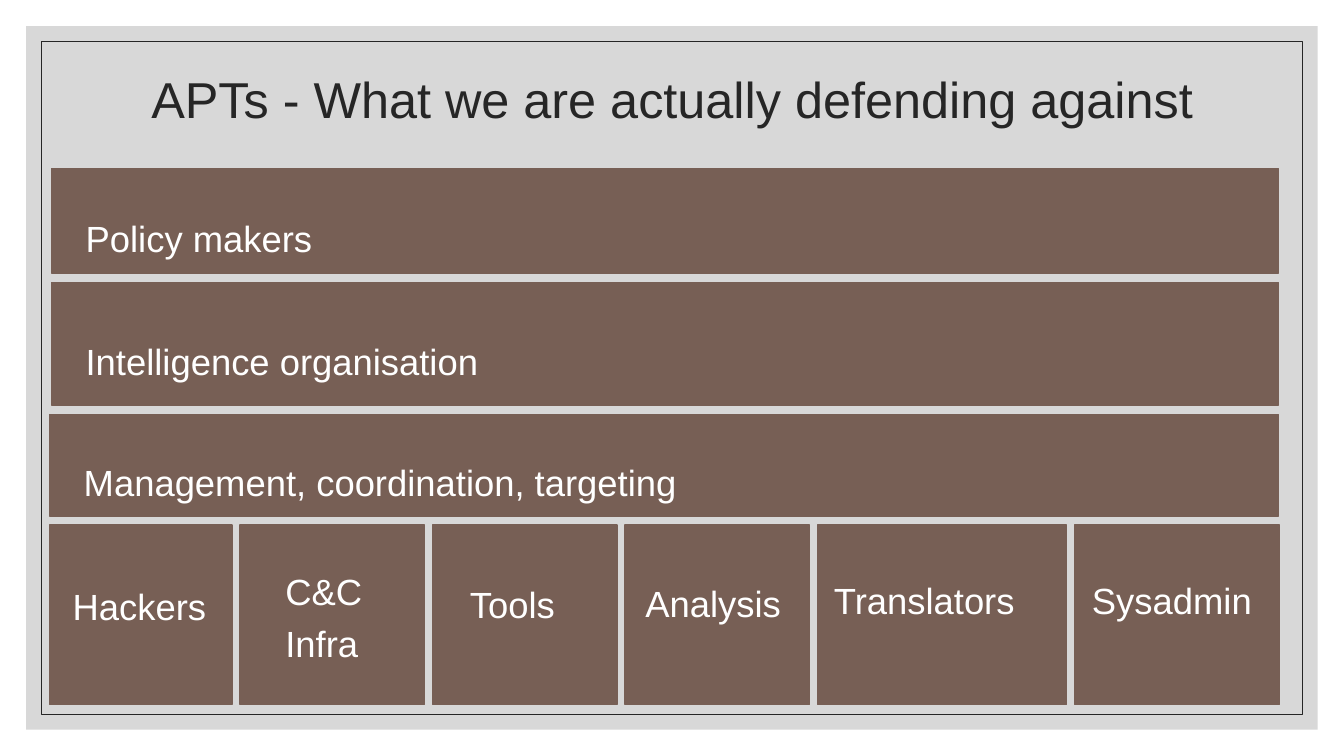
from lxml.etree import SubElement
from pptx import Presentation
from pptx.dml.color import RGBColor
from pptx.enum.shapes import MSO_SHAPE
from pptx.enum.text import MSO_ANCHOR, PP_ALIGN
from pptx.oxml.ns import qn
from pptx.util import Inches, Pt

TITLE = "APTs - What we are actually defending against"
# label, left, height
LAYERS = [
    ("Policy makers", 0.51, 1.04),
    ("Intelligence organisation", 0.51, 1.22),
    ("Management, coordination, targeting", 0.49, 1.01),
]
# lines, column width, text offset x and y, text width and height
TEAMS = [
    (["Hackers"], 1.81, -0.11, 0.63, 3.48, 0.63),
    (["C&C", "Infra"], 1.83, 0.11, 0.49, 2.71, 0.63),
    (["Tools"], 1.83, 0.03, 0.61, 1.89, 1.04),
    (["Analysis"], 1.83, -0.14, 0.6, 2.59, 0.85),
    (["Translators"], 2.47, -0.18, 0.57, 2.71, 0.74),
    (["Sysadmin"], 2.03, -0.17, 0.57, 2.49, 1.5),
]
WIDTH, HEIGHT = 13.33, 7.5
TOP, LEFT, RIGHT = 1.67, 0.49, 12.68
ROW_GAP, COL_GAP, TEAM_HEIGHT = 0.09, 0.08, 1.78
BROWN, DARK, WHITE, GREY = "775F55", "262626", "FFFFFF", "BFBFBF"


def color(value):
    return RGBColor.from_string(value)


def box(shapes, x, y, w, h, fill=None, line=None, weight=1, alpha=None):
    sp = shapes.add_shape(MSO_SHAPE.RECTANGLE, *map(Inches, (x, y, w, h)))
    sp.shadow.inherit = False
    if fill:
        sp.fill.solid()
        sp.fill.fore_color.rgb = color(fill)
    else:
        sp.fill.background()
    if line:
        sp.line.color.rgb = color(line)
        sp.line.width = Pt(weight)
    else:
        sp.line.fill.background()
    if alpha:
        rgb = sp._element.spPr.find(qn("a:solidFill")).find(qn("a:srgbClr"))
        SubElement(rgb, qn("a:alpha")).set("val", str(alpha * 1000))
    return sp


def write(tf, lines, size=26, ink=WHITE, align=PP_ALIGN.LEFT, after=9):
    tf.word_wrap = True
    for i, line in enumerate(lines):
        p = tf.paragraphs[0] if i == 0 else tf.add_paragraph()
        p.alignment = align
        p.line_spacing = 0.9
        p.space_after = Pt(after)
        r = p.add_run()
        r.text = line
        r.font.size = Pt(size)
        r.font.name = "Arial"
        r.font.color.rgb = color(ink)


def label(shapes, x, y, w, h, lines):
    tf = shapes.add_textbox(*map(Inches, (x, y, w, h))).text_frame
    tf.margin_left = tf.margin_right = Inches(0.34)
    tf.margin_top, tf.margin_bottom = 0, Inches(0.36)
    write(tf, lines)


prs = Presentation()
prs.slide_width, prs.slide_height = Inches(WIDTH), Inches(HEIGHT)
s = prs.slides.add_slide(prs.slide_layouts[5])

for inset, style in (
    (0.26, dict(fill=GREY, alpha=60)),
    (0.41, dict(line=DARK, weight=0.5)),
):
    box(s.shapes, inset, inset, WIDTH - 2 * inset, HEIGHT - 2 * inset, **style)

title = s.shapes.title
title.left, title.top, title.width, title.height = map(Inches, (1.17, 0.26, 11, 1.5))
title.text_frame.vertical_anchor = MSO_ANCHOR.MIDDLE
write(title.text_frame, [TITLE], size=36, ink=DARK, align=PP_ALIGN.CENTER, after=0)
s.shapes._spTree.append(title._element)

y = TOP
for text, x, h in LAYERS:
    group = s.shapes.add_group_shape().shapes
    box(group, x, y, RIGHT - x, h, fill=BROWN, line=BROWN)
    label(group, x, y + h / 2, RIGHT - x, h / 2 + 0.03, [text])
    y += h + ROW_GAP

x = LEFT
for lines, w, dx, dy, text_w, text_h in TEAMS:
    box(s.shapes, x, y, w, TEAM_HEIGHT, fill=BROWN, line=BROWN)
    label(s.shapes, x + dx, y + dy, text_w, text_h, lines)
    x += w + COL_GAP

prs.save("out.pptx")
